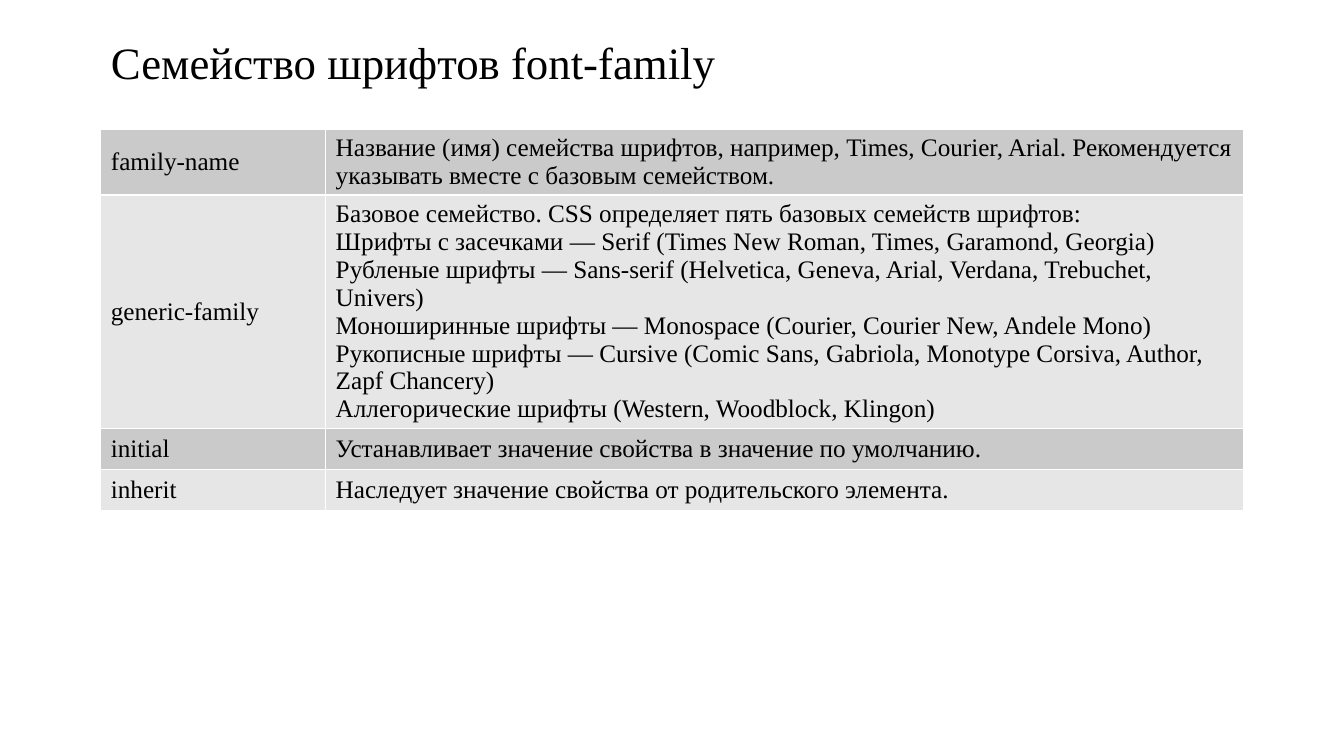
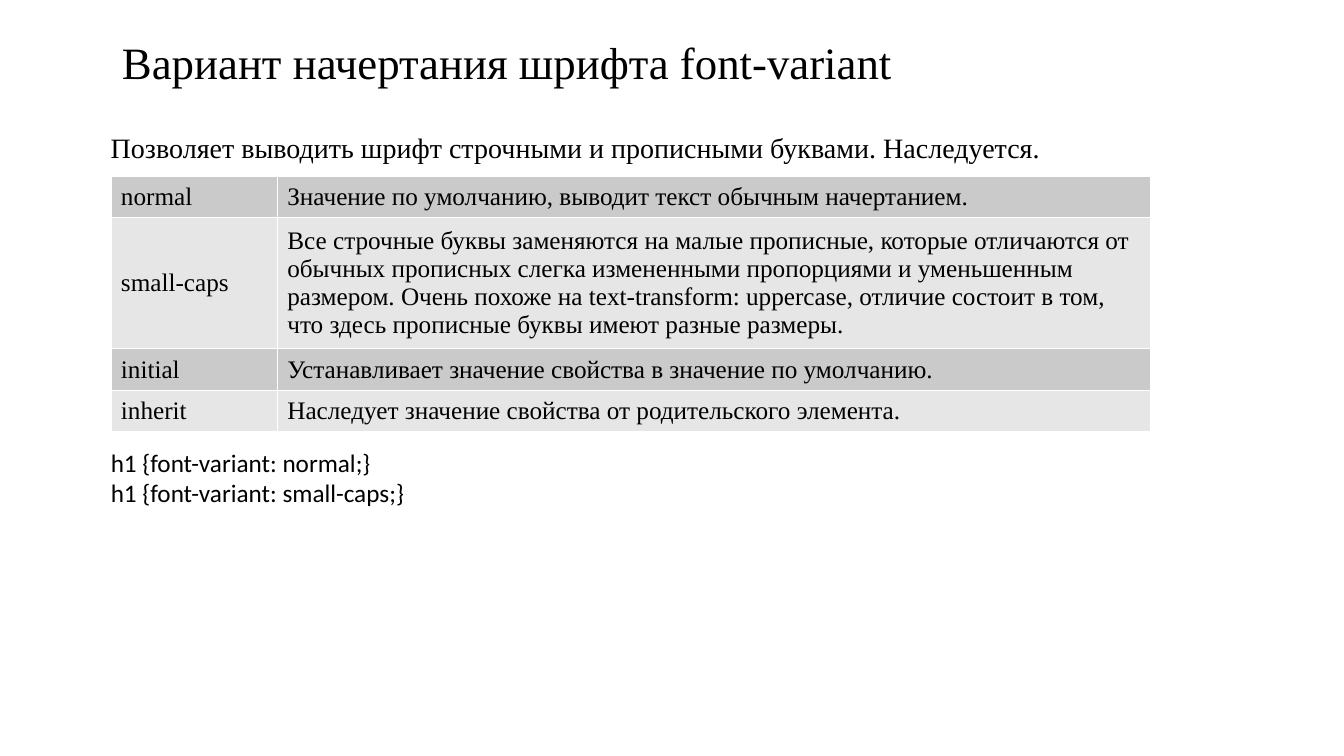
import pptx
import pptx.dml.color
import pptx.enum.text
import pptx.oxml
import pptx.oxml.ns
import pptx.util

Inches = pptx.util.Inches
Pt = pptx.util.Pt
RGBColor = pptx.dml.color.RGBColor
PP_ALIGN = pptx.enum.text.PP_ALIGN
MSO_ANCHOR = pptx.enum.text.MSO_ANCHOR
MSO_AUTO_SIZE = pptx.enum.text.MSO_AUTO_SIZE

BLACK = RGBColor(0x00, 0x00, 0x00)
WHITE = RGBColor(0xFF, 0xFF, 0xFF)
DARK_BAND = RGBColor(0xCA, 0xCA, 0xCA)
LIGHT_BAND = RGBColor(0xE6, 0xE6, 0xE6)

SERIF = "Times New Roman"
TITLE_FONT = {"name": SERIF, "size": Pt(32)}
LEAD_FONT = {"name": SERIF, "size": Pt(20)}
CELL_FONT = {"name": SERIF, "size": Pt(18)}
CODE_FONT = {"name": "Calibri", "size": Pt(18)}

LEFT = 1
CONTENT_WIDTH = 11.33
TITLE_HEIGHT = 1.28
ROW_HEIGHT = 0.41

COMMON_ROWS = [
    ("initial", "Устанавливает значение свойства в значение по умолчанию.", ROW_HEIGHT),
    ("inherit", "Наследует значение свойства от родительского элемента.", ROW_HEIGHT),
]
FAMILY_ROWS = [
    ("family-name",
     "Название (имя) семейства шрифтов, например, Times, Courier, Arial. "
     "Рекомендуется указывать вместе с базовым семейством.", 0.65),
    ("generic-family",
     "Базовое семейство. CSS определяет пять базовых семейств шрифтов:\n"
     "Шрифты с засечками — Serif (Times New Roman, Times, Garamond, Georgia)\n"
     "Рубленые шрифты — Sans-serif (Helvetica, Geneva, Arial, Verdana, Trebuchet, Univers)\n"
     "Моноширинные шрифты — Monospace (Courier, Courier New, Andele Mono)\n"
     "Рукописные шрифты — Cursive (Comic Sans, Gabriola, Monotype Corsiva, Author, "
     "Zapf Chancery)\n"
     "Аллегорические шрифты (Western, Woodblock, Klingon)", 2.31),
] + COMMON_ROWS
VARIANT_ROWS = [
    ("normal", "Значение по умолчанию, выводит текст обычным начертанием.", ROW_HEIGHT),
    ("small-caps",
     "Все строчные буквы заменяются на малые прописные, которые отличаются от обычных "
     "прописных слегка измененными пропорциями и уменьшенным размером. Очень похоже на "
     "text-transform: uppercase, отличие состоит в том, что здесь прописные буквы имеют "
     "разные размеры.", 1.2),
] + COMMON_ROWS


def write_paragraph(para, text, font, line_spacing=None):
    para.text = text
    para.alignment = PP_ALIGN.LEFT
    para.line_spacing = line_spacing
    for span in para.runs:
        for name, value in font.items():
            setattr(span.font, name, value)
        span.font.color.rgb = BLACK


def add_titled_page(deck, title, indent=0.1):
    page = deck.slides.add_slide(deck.slide_layouts[5])
    box = page.shapes.title
    place = {"left": LEFT, "top": 0, "width": CONTENT_WIDTH, "height": TITLE_HEIGHT}
    for name, value in place.items():
        setattr(box, name, Inches(value))
    frame = box.text_frame
    frame_format = {
        "auto_size": MSO_AUTO_SIZE.NONE,
        "word_wrap": True,
        "vertical_anchor": MSO_ANCHOR.MIDDLE,
        "margin_left": Inches(indent),
    }
    for name, value in frame_format.items():
        setattr(frame, name, value)
    write_paragraph(frame.paragraphs[0], title, TITLE_FONT, 0.9)
    return page


def add_text(page, left, top, width, height, lines, font, line_spacing=None):
    box = page.shapes.add_textbox(Inches(left), Inches(top), Inches(width), Inches(height))
    frame = box.text_frame
    frame.word_wrap = True
    for index, line in enumerate(lines):
        para = frame.add_paragraph() if index else frame.paragraphs[0]
        write_paragraph(para, line, font, line_spacing)


def add_cell_borders(cell):
    properties = cell._tc.get_or_add_tcPr()
    for side in ("lnL", "lnR", "lnT", "lnB"):
        properties.append(pptx.oxml.parse_xml(
            f'<a:{side} {pptx.oxml.ns.nsdecls("a")} w="{Pt(1)}"><a:solidFill>'
            f'<a:srgbClr val="{WHITE}"/></a:solidFill></a:{side}>'))


def add_value_table(page, left, top, column_widths, rows):
    heights = [height for *_, height in rows]
    table = page.shapes.add_table(
        len(rows), len(column_widths), Inches(left), Inches(top),
        Inches(sum(column_widths)), Inches(sum(heights))).table
    table.first_row = False
    for column, width in zip(table.columns, column_widths):
        column.width = Inches(width)
    for index, (*texts, height) in enumerate(rows):
        table.rows[index].height = Inches(height)
        for cell, text in zip(table.rows[index].cells, texts):
            add_cell_borders(cell)
            cell.fill.solid()
            cell.fill.fore_color.rgb = LIGHT_BAND if index % 2 else DARK_BAND
            cell.vertical_anchor = MSO_ANCHOR.MIDDLE
            write_paragraph(cell.text_frame.paragraphs[0], text, CELL_FONT)


def main():
    deck = pptx.Presentation()
    deck.slide_width = Inches(13.33)
    deck.slide_height = Inches(7.5)

    page = add_titled_page(deck, "Семейство шрифтов font-family")
    add_value_table(page, LEFT, TITLE_HEIGHT, (2.23, 9.1), FAMILY_ROWS)

    page = add_titled_page(deck, "Вариант начертания шрифта font-variant", indent=0.21)
    add_text(page, LEFT, TITLE_HEIGHT, CONTENT_WIDTH, 0.47,
             ["Позволяет выводить шрифт строчными и прописными буквами. Наследуется."],
             LEAD_FONT, 0.9)
    add_value_table(page, 1.1, 1.75, (1.65, 8.66), VARIANT_ROWS)
    add_text(page, LEFT, 4.39, 3.15, 0.71,
             ["h1 {font-variant: normal;}", "h1 {font-variant: small-caps;}"], CODE_FONT)

    deck.save("out.pptx")


if __name__ == "__main__":
    main()
